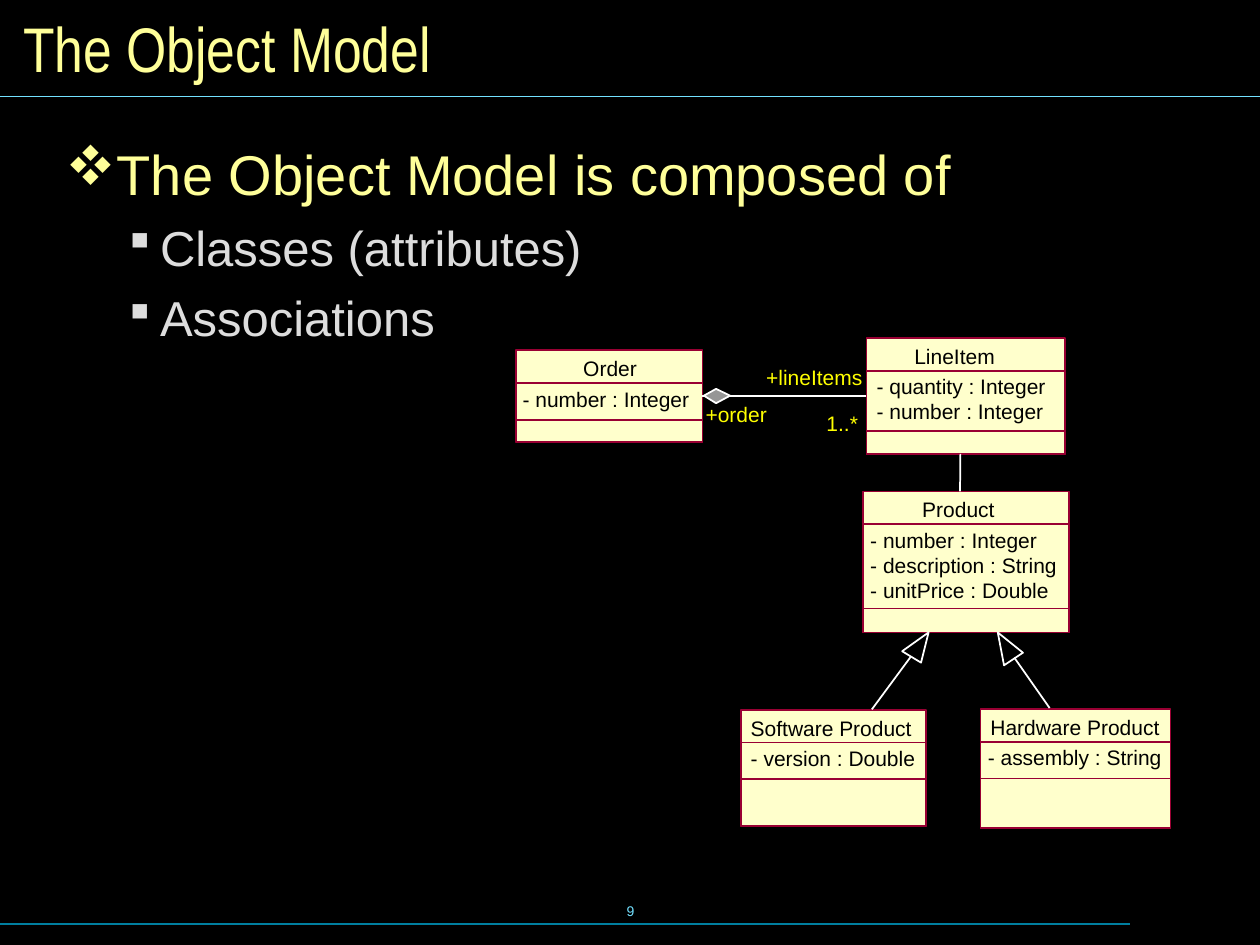
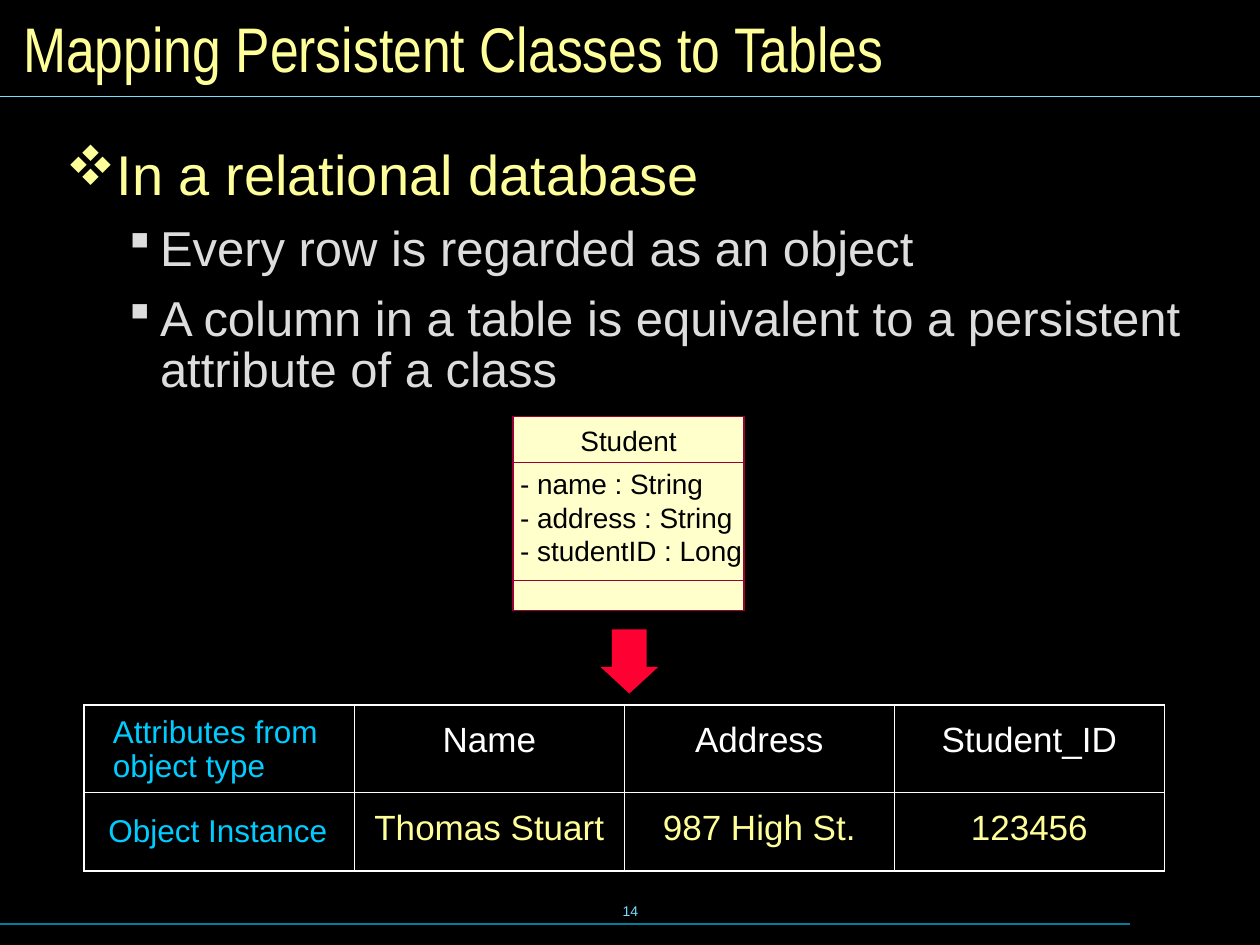
from dataclasses import dataclass

from lxml.etree import SubElement
from pptx import Presentation
from pptx.dml.color import RGBColor
from pptx.enum.shapes import MSO_CONNECTOR as Connector, MSO_SHAPE as Shape
from pptx.enum.text import MSO_ANCHOR as Anchor, PP_ALIGN as Align
from pptx.oxml import parse_xml
from pptx.oxml.ns import nsdecls, qn
from pptx.util import Pt


@dataclass(frozen=True)
class Theme:
    background: str = "000000"
    accent: str = "FFFF99"
    body: str = "DDDDDD"
    rule: str = "73E1FF"
    footer_rule: str = "007E9F"
    class_fill: str = "FFFFCC"
    class_line: str = "990033"
    class_text: str = "000000"
    role: str = "FFFF00"
    white: str = "FFFFFF"
    diamond: str = "969696"
    row_label: str = "00CCFF"
    arrow: str = "FF0033"
    font: str = "Arial"
    title_font: str = "Arial Narrow"
    bullet_font: str = "Wingdings"
    title_size: int = 36
    topic_size: int = 32
    point_size: int = 28
    cell_size: int = 20
    label_size: int = 18
    uml_size: int = 12
    footer_size: int = 8
    outer_border: float = 1.08
    inner_border: float = 0.45


THEME = Theme()
# Symbol-font codes of the bullets
DIAMOND_BULLET, SQUARE_BULLET = "v", "§"


def rgb(color):
    return RGBColor.from_string(color)


def points(*lengths):
    return [Pt(length) for length in lengths]


def style(paragraph, size, color, font=THEME.font):
    paragraph.font.size = Pt(size)
    paragraph.font.name = font
    paragraph.font.color.rgb = rgb(color)


def paint(shape, fill=None, line=None, width=1):
    shape.shadow.inherit = False
    if fill:
        shape.fill.solid()
        shape.fill.fore_color.rgb = rgb(fill)
    else:
        shape.fill.background()
    if line:
        shape.line.color.rgb = rgb(line)
        shape.line.width = Pt(width)
    else:
        shape.line.fill.background()


def add_text(slide, box, lines, size, color, font=THEME.font, align=Align.LEFT,
             anchor=Anchor.TOP, margins=(0, 0), gap=0, spacing=None):
    frame = slide.shapes.add_textbox(*points(*box)).text_frame
    frame.word_wrap = True
    frame.vertical_anchor = anchor
    frame.margin_left = frame.margin_right = Pt(margins[0])
    frame.margin_top = frame.margin_bottom = Pt(margins[1])
    for index, line in enumerate(lines):
        paragraph = frame.paragraphs[0] if index == 0 else frame.add_paragraph()
        paragraph.text = line
        paragraph.alignment = align
        if index and gap:
            paragraph.space_before = Pt(gap)
        if spacing:
            paragraph.line_spacing = spacing
        style(paragraph, size, color, font)
    return frame


def add_line(slide, start, end, color=THEME.white, width=1):
    line = slide.shapes.add_connector(Connector.STRAIGHT, *points(*start, *end))
    line.line.color.rgb = rgb(color)
    line.line.width = Pt(width)
    SubElement(line._element.spPr, qn("a:effectLst"))


def add_outline(slide, corners, fill=None):
    start, *others = [points(*corner) for corner in corners]
    builder = slide.shapes.build_freeform(*start)
    builder.add_line_segments(others, close=True)
    paint(builder.convert_to_shape(), fill, THEME.white)


def add_bullet(paragraph, symbol, color, left, hanging):
    properties = paragraph._p.get_or_add_pPr()
    properties.set("marL", str(Pt(left)))
    properties.set("indent", str(Pt(-hanging)))
    for tag, content in (
            ("buClr", f'><a:srgbClr val="{color}"/></a:buClr>'),
            ("buFont", f' typeface="{THEME.bullet_font}" charset="2"/>'),
            ("buChar", f' char="{symbol}"/>')):
        properties.append(parse_xml(f'<a:{tag} {nsdecls("a")}{content}'))


def add_body(slide, height, topic, subpoints):
    frame = add_text(slide, (28.8, 82.8, 668.9, height), [topic, *subpoints],
                     THEME.point_size, THEME.body, margins=(8.64, 4.32),
                     gap=11, spacing=0.87)
    heading, *details = frame.paragraphs
    heading.line_spacing = 0.8
    add_bullet(heading, DIAMOND_BULLET, THEME.accent, 26.64, 26.64)
    style(heading, THEME.topic_size, THEME.accent)
    for detail in details:
        detail.level = 1
        add_bullet(detail, SQUARE_BULLET, THEME.body, 54, 18)


def add_class(slide, box, name, attributes, name_inset, attribute_inset,
              operations_top, header=18.7, size=THEME.uml_size, line_width=1):
    left, top, width, height = box
    # Compartments: whole class, attributes and below, operations
    for offset in (0, header, operations_top):
        compartment = slide.shapes.add_shape(
            Shape.RECTANGLE, *points(left, top + offset, width, height - offset))
        paint(compartment, None if offset else THEME.class_fill,
              THEME.class_line, line_width)
    # Text
    line_height = size * 1.2
    add_text(slide, (left + name_inset, top + size / 4, width - name_inset, line_height),
             [name], size, THEME.class_text)
    add_text(slide, (left + attribute_inset, top + header + size / 7,
                     width - attribute_inset + 2, line_height * len(attributes)),
             attributes, size, THEME.class_text)


def set_border(cell, side, width):
    line = parse_xml(
        f'<a:ln{side} {nsdecls("a")} w="{Pt(width)}"><a:solidFill>'
        f'<a:srgbClr val="{THEME.white}"/></a:solidFill></a:ln{side}>')
    cell._tc.get_or_add_tcPr().insert("LRTB".index(side), line)


def add_grid(slide, box, rows, heights, colors):
    last_row, last_column = len(rows) - 1, len(rows[0]) - 1
    table = slide.shapes.add_table(len(rows), len(rows[0]), *points(*box)).table
    table.first_row = table.horz_banding = False
    for row, (values, height, color) in enumerate(zip(rows, heights, colors)):
        table.rows[row].height = Pt(height)
        for column, value in enumerate(values):
            cell = table.cell(row, column)
            cell.fill.background()
            cell.margin_left = cell.margin_right = Pt(8.64)
            cell.margin_top = cell.margin_bottom = Pt(3.6)
            outer = {"L": column == 0, "R": column == last_column,
                     "T": row == 0, "B": row == last_row}
            for side, is_outer in outer.items():
                set_border(cell, side,
                           THEME.outer_border if is_outer else THEME.inner_border)
            paragraph = cell.text_frame.paragraphs[0]
            paragraph.text = value
            paragraph.alignment = Align.CENTER
            paragraph.line_spacing = Pt(28)
            style(paragraph, THEME.cell_size, color)


def add_slide(deck, title, number):
    slide = deck.slides.add_slide(deck.slide_layouts[6])
    slide.background.fill.solid()
    slide.background.fill.fore_color.rgb = rgb(THEME.background)
    # Footer
    add_text(slide, (246.2, 502.6, 228.2, 36), [number], THEME.footer_size, THEME.rule,
             align=Align.CENTER, anchor=Anchor.MIDDLE, margins=(7.2, 3.6))
    add_line(slide, (0, 528), (645.8, 528), THEME.footer_rule, 0.75)
    # Title
    add_line(slide, (0, 55), (720, 55), THEME.rule, 0.75)
    add_text(slide, (6.2, 6.2, 708.5, 41.8), [title], THEME.title_size, THEME.accent,
             THEME.title_font, anchor=Anchor.MIDDLE, margins=(7.2, 3.6))
    return slide


def build_object_model(deck):
    slide = add_slide(deck, "The Object Model", "9")
    add_body(slide, 121, "The Object Model is composed of",
             ["Classes (attributes)", "Associations"])

    # Classes
    add_class(slide, (495.1, 193.2, 113.3, 66.2), "LineItem",
              ["- quantity : Integer", "- number : Integer"], 27.4, 5.8, 53.2)
    add_class(slide, (295, 200.2, 106.4, 52.2), "Order",
              ["- number : Integer"], 38.3, 3.6, 39.8)
    add_class(slide, (493, 280.8, 118, 80.6), "Product",
              ["- number : Integer", "- description : String", "- unitPrice : Double"],
              34, 4.3, 67)
    add_class(slide, (423.4, 405.6, 105.8, 66.4), "Software Product",
              ["- version : Double"], 5.6, 5.6, 39.6)
    add_class(slide, (560.2, 405.2, 108.7, 68.2), "Hardware Product",
              ["- assembly : String"], 5.8, 4.3, 39.6)

    # Aggregation and its roles
    add_line(slide, (494.6, 226.1), (401.2, 226.1))
    add_outline(slide, [(402.2, 226.1), (409.2, 230.4), (417.2, 226.1), (409.2, 222.2)],
                THEME.diamond)
    for role, left, top, width in (("1..*", 472.3, 234.7, 20),
                                   ("+lineItems", 437.8, 208.1, 57),
                                   ("+order", 403.2, 229.7, 37)):
        add_text(slide, (left, top, width, 14.4), [role], THEME.uml_size, THEME.role)

    # Association
    add_line(slide, (548.6, 280.8), (548.8, 259.4))

    # Generalizations
    add_line(slide, (498.2, 405.4), (520.6, 375.1))
    add_outline(slide, [(530.6, 361.4), (526.3, 378.7), (515.5, 372.2)])
    add_line(slide, (599.8, 404.6), (579.6, 375.8))
    add_outline(slide, [(570.2, 361.4), (584.6, 373), (573.8, 380.2)])


def build_table_mapping(deck):
    slide = add_slide(deck, "Mapping Persistent Classes to Tables", "14")
    add_body(slide, 163.4, "In a relational database",
             ["Every row is regarded as an object",
              "A column in a table is equivalent to a persistent attribute of a class"])

    # Persistent class
    add_class(slide, (293.2, 238.2, 132, 110.6), "Student",
              ["- name : String", "- address : String", "- studentID : Long"],
              38.5, 4, 93.6, header=26.2, size=16, line_width=0)

    # Mapping arrow
    arrow = slide.shapes.add_shape(Shape.DOWN_ARROW, *points(343.1, 359.6, 33.1, 36.7))
    arrow.adjustments[0], arrow.adjustments[1] = 0.6, 0.46
    paint(arrow, THEME.arrow)

    # Table of instances with its row labels
    add_grid(slide, (48.2, 402.8, 617.2, 95),
             [["", "Name", "Address", "Student_ID"],
              ["", "Thomas Stuart", "987 High St.", "123456"]],
             (50.2, 44.6), (THEME.white, THEME.accent))
    add_text(slide, (53.3, 459.4, 145, 30.2), ["Object Instance"], THEME.label_size,
             THEME.row_label, margins=(8.64, 4.32))
    add_text(slide, (55.9, 405.4, 142, 46.8), ["Attributes from\vobject type"],
             THEME.label_size, THEME.row_label, margins=(8.64, 4.32), spacing=Pt(19))


def main():
    deck = Presentation()
    deck.slide_width, deck.slide_height = points(720, 540)
    build_object_model(deck)
    build_table_mapping(deck)
    deck.save("out.pptx")


if __name__ == "__main__":
    main()
